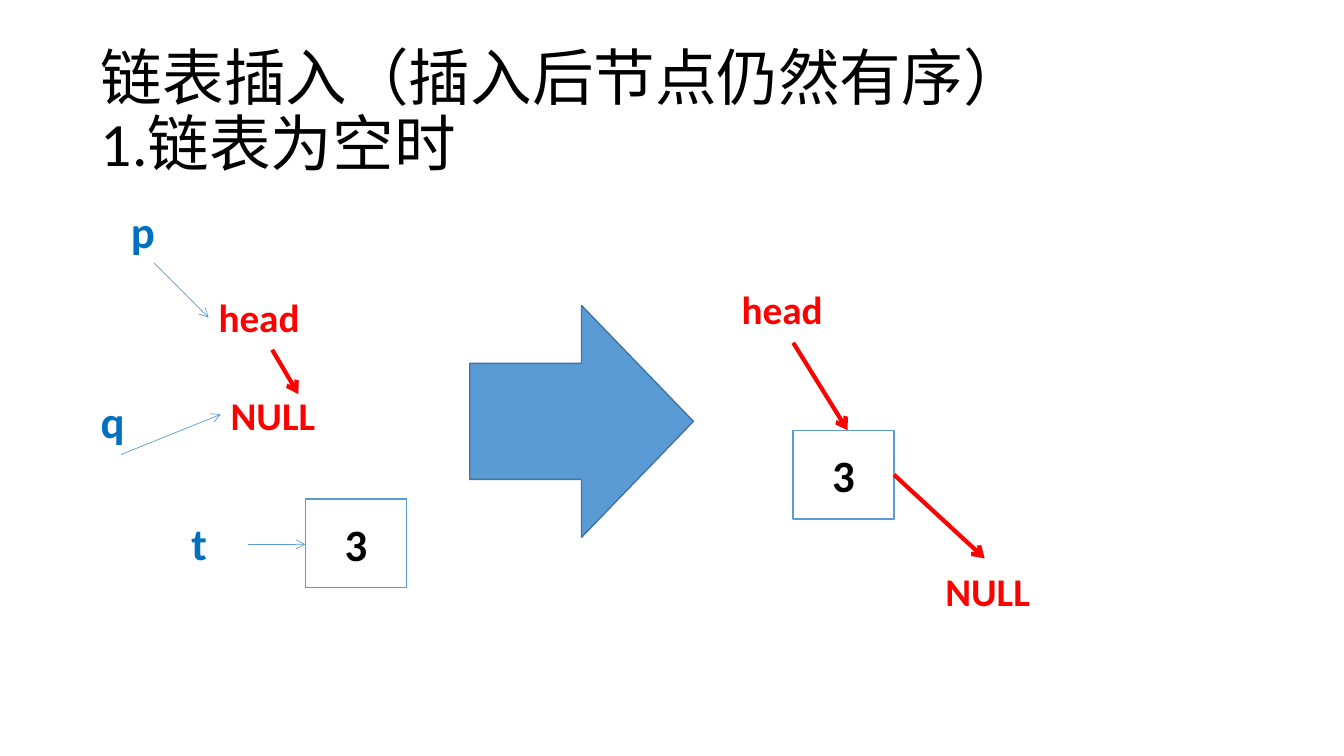
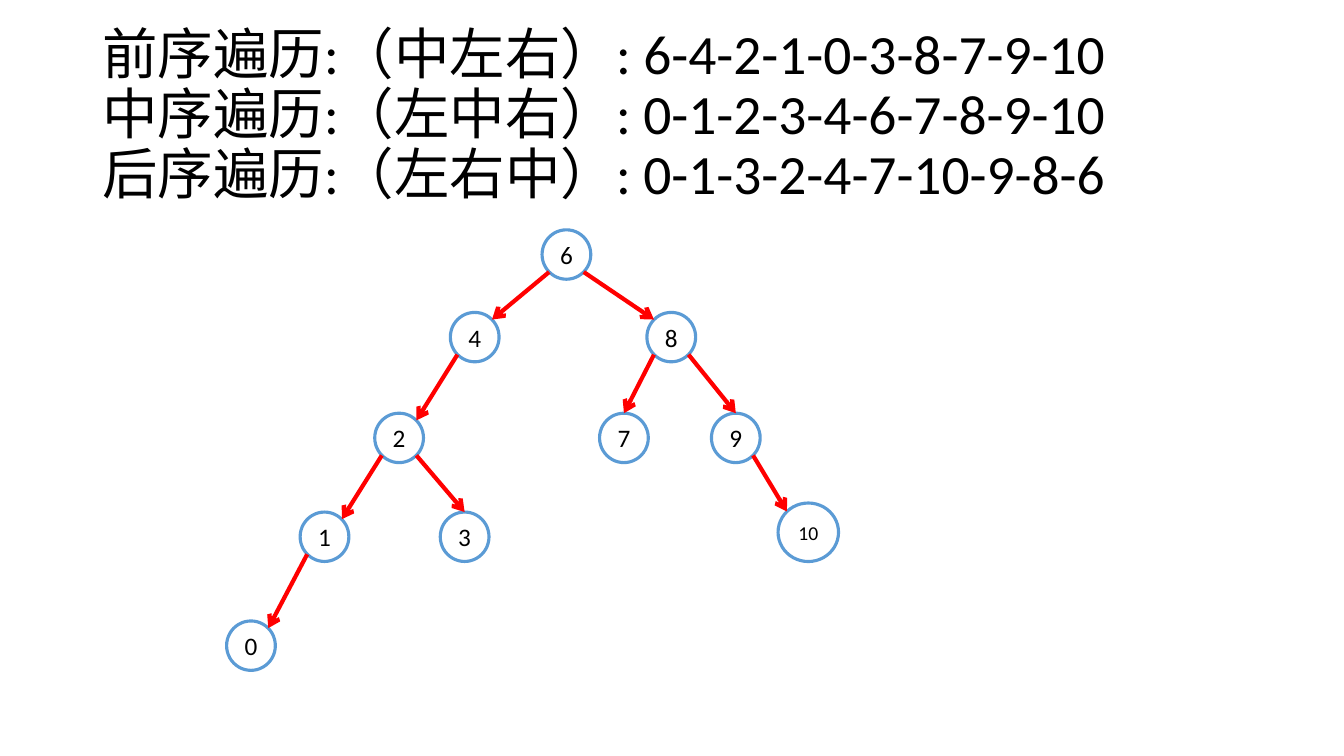
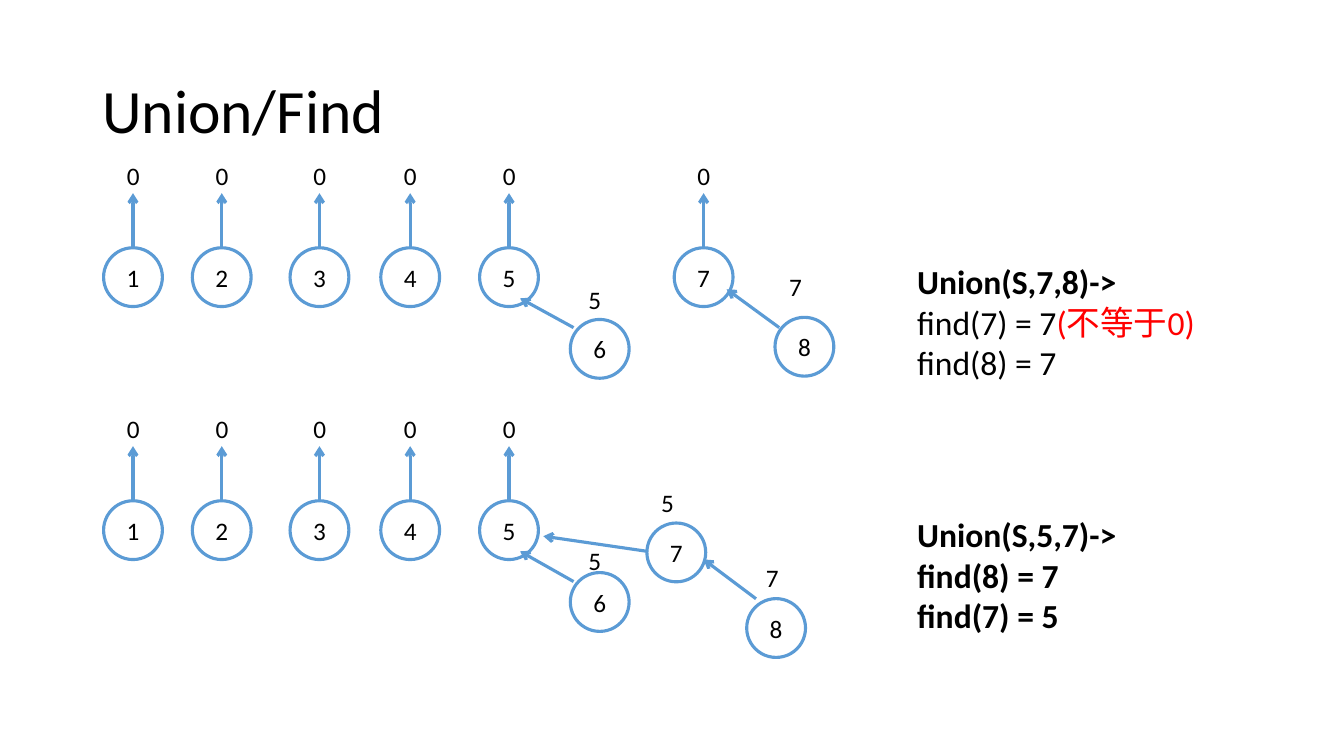
import lxml.etree
import pptx
import pptx.dml.color
import pptx.enum.shapes
import pptx.enum.text
import pptx.oxml
import pptx.oxml.ns
import pptx.util

Pt = pptx.util.Pt
SHAPE = pptx.enum.shapes.MSO_SHAPE
ALIGN = pptx.enum.text.PP_ALIGN
ANCHOR = pptx.enum.text.MSO_ANCHOR
qn = pptx.oxml.ns.qn

FONT = "Calibri"
BLACK, WHITE, RED = "000000", "FFFFFF", "FF0000"
BLUE, DARK_BLUE, NAME_BLUE = "5B9BD5", "43739E", "0070C0"


def rgb(value):
    return pptx.dml.color.RGBColor.from_string(value)


def write(tf, text, size=18, color=BLACK, bold=False, align=ALIGN.LEFT,
          anchor=ANCHOR.TOP, spacing=None):
    """Each line is a string or a list of (text, overrides) runs."""
    tf.word_wrap = True
    tf.vertical_anchor = anchor
    lines = text.split("\n") if isinstance(text, str) else text
    for i, line in enumerate(lines):
        p = tf.add_paragraph() if i else tf.paragraphs[0]
        p.alignment = align
        if spacing:
            p.line_spacing = spacing
        for words, own in [(line, {})] if isinstance(line, str) else line:
            r = p.add_run()
            r.text = words
            r.font.name = FONT
            r.font.size = Pt(size)
            r.font.bold = own.get("bold", bold)
            r.font.color.rgb = rgb(own.get("color", color))


class Deck:
    def __init__(self):
        self.prs = pptx.Presentation()
        self.prs.slide_width, self.prs.slide_height = Pt(960), Pt(540)
        self.s = None

    def slide(self, title, left=66, top=29, size=44):
        self.s = self.prs.slides.add_slide(self.prs.slide_layouts[6])
        self.text(title, left, top, 828, 104, size=size, anchor=ANCHOR.MIDDLE,
                  spacing=0.9)

    def text(self, text, x, y, w, h, **style):
        sp = self.s.shapes.add_textbox(Pt(x), Pt(y), Pt(w), Pt(h))
        write(sp.text_frame, text, **style)

    def shape(self, kind, x, y, w, h, text="", fill=WHITE, line=BLUE,
              width=1, **style):
        sp = self.s.shapes.add_shape(kind, Pt(x), Pt(y), Pt(w), Pt(h))
        sp.shadow.inherit = False
        sp.fill.solid()
        sp.fill.fore_color.rgb = rgb(fill)
        sp.line.color.rgb = rgb(line)
        sp.line.width = Pt(width)
        if text:
            write(sp.text_frame, text, align=ALIGN.CENTER,
                  anchor=ANCHOR.MIDDLE, **style)

    def circle(self, text, cx, cy, w, h, size=18):
        self.shape(SHAPE.OVAL, cx - w / 2, cy - h / 2, w, h, text,
                   width=2.25, size=size)

    def arrow(self, start, end, color=BLUE, width=2.25):
        c = self.s.shapes.add_connector(
            pptx.enum.shapes.MSO_CONNECTOR.STRAIGHT,
            *(Pt(v) for v in (*start, *end)))
        c.line.color.rgb = rgb(color)
        c.line.width = Pt(width)
        tail = lxml.etree.SubElement(c.line._get_or_add_ln(), qn("a:tailEnd"))
        tail.set("type", "arrow")
        lxml.etree.SubElement(c._element.spPr, qn("a:effectLst"))


def list_slide(d):
    d.slide("链表插入（插入后节点仍然有序）\n1.链表为空时", left=65)
    # Pointer targets
    for word, x, y in [("head", 149, 206), ("NULL", 157.7, 275.8),
                       ("head", 522.7, 200.2), ("NULL", 668.2, 401.8)]:
        d.text(word, x, y, 104, 41, size=28, color=RED, bold=True)
    # Pointer names
    for name, x, y in [("p", 86.4, 141.8), ("q", 64.8, 278), ("t", 129.6, 365)]:
        d.text(name, x, y, 47, 46, size=32, color=NAME_BLUE, bold=True)
    # List nodes before and after
    for x, y in [(218.2, 356.4), (566.6, 307.4)]:
        d.shape(SHAPE.RECTANGLE, x, y, 72, 63.4, "3", size=32, bold=True)
    d.shape(SHAPE.RIGHT_ARROW, 335.5, 218.2, 159.8, 165.6, fill=BLUE,
            line=DARK_BLUE)
    # Links and pointers
    for start, end in [((194.4, 249.8), (213.1, 281.5)),
                       ((566.6, 244.8), (605.5, 307.4)),
                       ((638.6, 339.1), (703.4, 398.9))]:
        d.arrow(start, end, RED, 3)
    for start, end in [((110.2, 188), (149, 226.8)),
                       ((86.4, 324.7), (157.7, 296)),
                       ((177.1, 388.8), (218.2, 388.8))]:
        d.arrow(start, end, width=0.5)


def tree_slide(d):
    d.slide("前序遍历:（中左右）: 6-4-2-1-0-3-8-7-9-10\n"
            "中序遍历:（左中右）: 0-1-2-3-4-6-7-8-9-10\n"
            "后序遍历:（左右中）: 0-1-3-2-4-7-10-9-8-6", top=31, size=39.6)
    # Node centres
    nodes = {"6": (404.6, 181.8), "4": (339.1, 240.8), "8": (479.5, 240.8),
             "2": (285.1, 312.8), "7": (445.7, 312.8), "9": (525.6, 312.8),
             "1": (231.8, 383.4), "3": (331.9, 383.4), "10": (577.4, 380.2),
             "0": (179.3, 461.2)}
    sizes = {"10": (43.2, 41.8, 14)}

    def size(node):
        return sizes.get(node, (34.8, 35.3, 18))

    def rim(node, dx, dy):
        (cx, cy), (w, h, _) = nodes[node], size(node)
        return cx + dx * w / 2, cy + dy * h / 2

    for node, centre in nodes.items():
        w, h, font_size = size(node)
        d.circle(node, *centre, w, h, font_size)
    # Edges leave a lower corner and reach the top or the facing upper corner
    k = 0.71
    for parent, child in ["64", "42", "21", "10", "23", "89", "87",
                          ("9", "10"), "68"]:
        side = k if nodes[child][0] > nodes[parent][0] else -k
        end = (0, -1) if child in "379" else (-side, -k)
        d.arrow(rim(parent, side, k), rim(child, *end), RED, 3)


def union_slide(d):
    d.slide("Union/Find")
    size = 42
    columns = {"1": 95, "2": 158.4, "3": 228.2, "4": 293, "5": 363.6,
               "7": 502.6}
    # Each child: name, centre, arrow start and end, parent, label corner
    rows = [
        (198, "123457", [
            ("6", (428.4, 249.2), (409.7, 234), (371.5, 213.1), "5", (413.3, 199.4)),
            ("8", (574.6, 247.7), (556.6, 234), (519.1, 206.6), "7", (556.6, 190.1)),
        ], ["Union(S,7,8)->",
            [("find(7) = 7", {"bold": False}),
             ("(不等于0)", {"bold": False, "color": RED})],
            [("find(8) = 7", {"bold": False})]]),
        (378.7, "12345", [
            ("6", (428.4, 430), (409.7, 415.4), (371.5, 393.8), "5", (413.3, 386)),
            ("7", (483.1, 394.6), (462.2, 393.8), (388.1, 383), "5", (465.1, 344.2)),
            ("8", (554.4, 448.6), (540, 427.7), (502.6, 399.6), "7", (540, 398.2)),
        ], "Union(S,5,7)->\nfind(8) = 7\nfind(7) = 5"),
    ]
    for y, roots, children, note in rows:
        top = y - size / 2
        # Roots point up to 0
        for root in roots:
            x = columns[root]
            d.circle(root, x, y, size, size)
            d.arrow((x, top), (x, top - 39))
            d.text("0", x - 11.5, top - 66, 36, 29)
        # Children point to their parent
        for child, centre, start, end, parent, corner in children:
            d.circle(child, *centre, size, size)
            d.arrow(start, end)
            d.text(parent, *corner, 36, 29)
        d.text(note, 648, y - 15, 262, 94, size=24, bold=True)


def main():
    d = Deck()
    list_slide(d)
    tree_slide(d)
    union_slide(d)
    d.prs.save("out.pptx")


if __name__ == "__main__":
    main()
